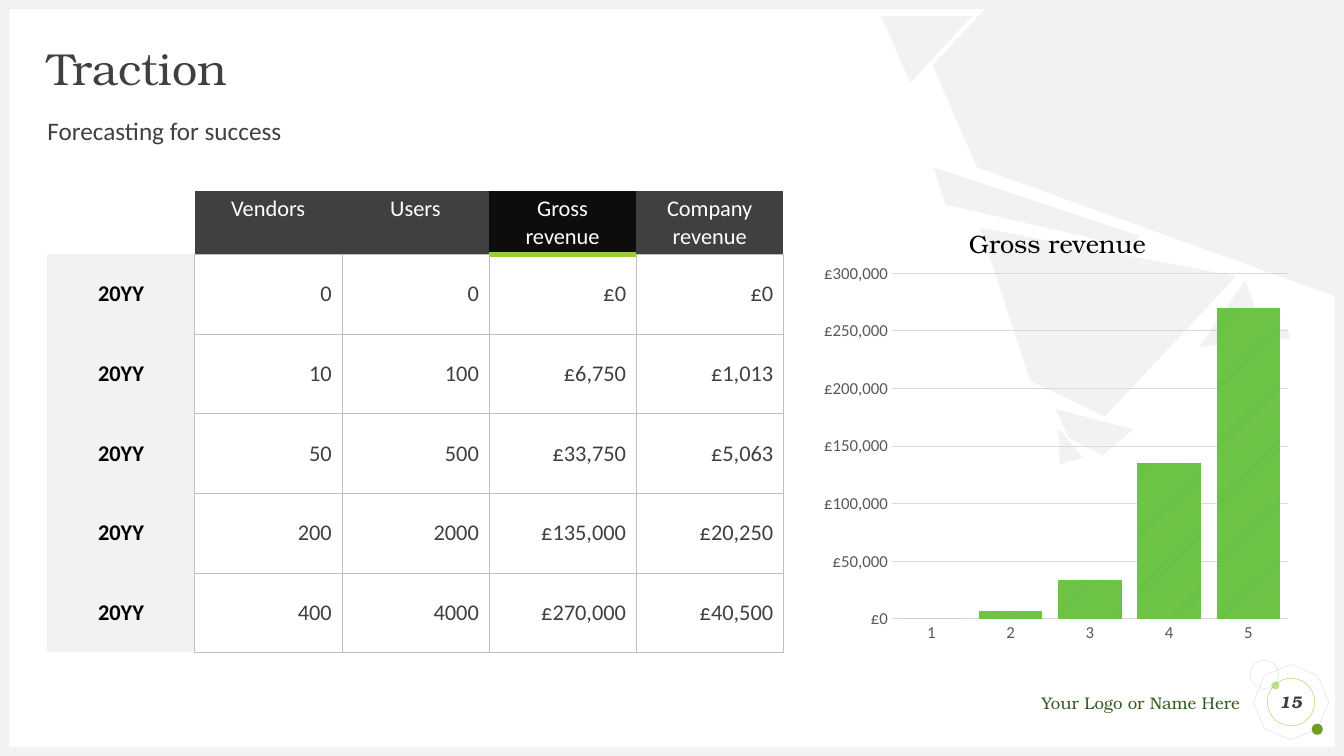
from lxml import etree
from pptx import Presentation
from pptx import util as u
from pptx.chart import data as chart_data
from pptx.dml.color import RGBColor
from pptx.enum import chart as ch
from pptx.enum import dml, shapes, text
from pptx.oxml import ns, parse_xml

PX = 9144  # EMU in one px, 100 px to the inch
COLORS = {
    "white": "FFFFFF", "black": "000000", "ink": "404040", "dark": "0D0D0D",
    "pale": "F2F2F2", "rule": "D9D9D9", "border": "BFBFBF", "axis": "595959",
    "lime": "9ACB39", "light_lime": "C2E088", "olive": "749A29",
    "forest": "375C1E", "green": "64C24A",
}
SERIF, SANS = "TeX Gyre Bonum", "Calibri"
LEFT, CENTER, RIGHT = text.PP_ALIGN.LEFT, text.PP_ALIGN.CENTER, text.PP_ALIGN.RIGHT
TOP, MIDDLE = text.MSO_ANCHOR.TOP, text.MSO_ANCHOR.MIDDLE
KIND = shapes.MSO_SHAPE


def rgb(name):
    return RGBColor.from_string(COLORS[name])


class Deck:
    def __init__(self, width, height):
        self.prs = Presentation()
        self.prs.slide_width, self.prs.slide_height = u.Emu(width * PX), u.Emu(height * PX)
        self.slide = self.prs.slides.add_slide(self.prs.slide_layouts[6])

    def box(self, *lengths):
        return [u.Emu(n * PX) for n in lengths]

    def font(self, font, size, color, face=SANS, bold=False, italic=False):
        font.size, font.name, font.bold, font.italic = u.Pt(size), face, bold, italic
        font.color.rgb = rgb(color)

    def paint(self, shape, fill, line):
        shape.shadow.inherit = False
        if fill:
            shape.fill.solid()
            shape.fill.fore_color.rgb = rgb(fill)
        else:
            shape.fill.background()
        if line:
            shape.line.color.rgb, shape.line.width = rgb(line), u.Pt(0.25)
        else:
            shape.line.fill.background()
        return shape

    def shape(self, kind, place, fill=None, line=None, rotation=0):
        shape = self.slide.shapes.add_shape(kind, *self.box(*place))
        shape.rotation = rotation
        return self.paint(shape, fill, line)

    def polygon(self, points, fill):
        builder = self.slide.shapes.build_freeform(*points[0], scale=PX)
        builder.add_line_segments(points[1:], close=True)
        return self.paint(builder.convert_to_shape(), fill, None)

    def set_text(self, frame, words, align=LEFT, anchor=TOP, spacing=None, **style):
        frame.word_wrap, frame.vertical_anchor = True, anchor
        frame.margin_left = frame.margin_top = frame.margin_right = frame.margin_bottom = 0
        line = frame.paragraphs[0]
        line.text, line.alignment, line.line_spacing = words, align, spacing
        self.font(line.font, **style)

    def label(self, place, words, **style):
        holder = self.slide.shapes.add_textbox(*self.box(*place))
        self.set_text(holder.text_frame, words, **style)

    def cell(self, cell, words, fill, edges, align, anchor, color, bold=False):
        props = cell._tc.get_or_add_tcPr()
        for side in "LRTB":
            color_name, points = edges.get(side, (None, 0))
            edge = etree.SubElement(props, ns.qn(f"a:ln{side}"), w=str(u.Pt(points)))
            if color_name:
                solid = etree.SubElement(edge, ns.qn("a:solidFill"))
                etree.SubElement(solid, ns.qn("a:srgbClr"), val=COLORS[color_name])
            else:
                etree.SubElement(edge, ns.qn("a:noFill"))
        cell.fill.solid()
        cell.fill.fore_color.rgb = rgb(fill)
        cell.vertical_anchor = anchor
        line = cell.text_frame.paragraphs[0]
        line.text, line.alignment = words, align
        self.font(line.font, 16, color, bold=bold)

    def table(self, left, top, column, heights, rows, accent):
        count = len(rows[0])
        place = self.box(left, top, column * count, sum(heights))
        table = self.slide.shapes.add_table(len(rows), count, *place).table
        table.first_row = table.horz_banding = False
        for col in table.columns:
            col.width = u.Emu(column * PX)
        thin, thick = ("border", 0.25), ("lime", 4.5)
        for r, row in enumerate(rows):
            table.rows[r].height = u.Emu(heights[r] * PX)
            for c, words in enumerate(row):
                under_header = thick if c == accent else thin
                if r == 0:
                    fill = "white" if c == 0 else "dark" if c == accent else "ink"
                    edges = {"B": under_header} if c else {}
                    look = (fill, edges, CENTER, TOP, "white")
                elif c == 0:
                    look = ("pale", {"R": thin}, CENTER, MIDDLE, "black", True)
                else:
                    edges = dict.fromkeys("LRTB", thin)
                    if r == 1:
                        edges["T"] = under_header
                    look = ("white", edges, RIGHT, MIDDLE, "ink")
                self.cell(table.cell(r, c), words, *look)

    def layout(self, inner=False, **fractions):
        parts = '<c:layoutTarget val="inner"/>' if inner else ""
        parts += '<c:xMode val="edge"/><c:yMode val="edge"/>'
        parts += "".join(f'<c:{k} val="{v}"/>' for k, v in fractions.items())
        return parse_xml(f"<c:layout {ns.nsdecls('c')}><c:manualLayout>{parts}"
                         "</c:manualLayout></c:layout>")

    def columns(self, place, title, categories, values):
        data = chart_data.CategoryChartData()
        data.categories = categories
        data.add_series("Series 1", values)
        chart = self.slide.shapes.add_chart(
            ch.XL_CHART_TYPE.COLUMN_CLUSTERED, *self.box(*place), data).chart
        self.font(chart.font, 10, "black")
        chart.has_legend, chart.has_title = False, True
        heading = chart.chart_title.text_frame.paragraphs[0]
        heading.text = title
        self.font(heading.font, 18, "black", SERIF)

        # Bars
        plot = chart.plots[0]
        plot.gap_width, plot.vary_by_categories = 25, False
        fill = plot.series[0].format.fill
        fill.patterned()
        fill.pattern = dml.MSO_PATTERN.DARK_UPWARD_DIAGONAL
        fill.fore_color.rgb, fill.back_color.rgb = rgb("lime"), rgb("green")

        # Axes
        years, pounds = chart.category_axis, chart.value_axis
        for axis in (years, pounds):
            axis.major_tick_mark = axis.minor_tick_mark = ch.XL_TICK_MARK.NONE
            self.font(axis.tick_labels.font, 12, "axis")
        pounds.minimum_scale, pounds.maximum_scale, pounds.major_unit = 0, 300000, 50000
        pounds.tick_labels.number_format = '"£"#,##0'
        pounds.tick_labels.number_format_is_linked = False
        pounds.format.line.fill.background()
        for line in (years.format.line, pounds.major_gridlines.format.line):
            line.color.rgb, line.width = rgb("rule"), u.Pt(0.75)

        # Fixed places of the title and the plot
        title_part = chart.chart_title._element
        area = chart._chartSpace.find(".//" + ns.qn("c:plotArea"))
        for part in (title_part, area):
            for old in part.findall(ns.qn("c:layout")):
                part.remove(old)
        title_part.find(ns.qn("c:tx")).addnext(self.layout(x=0.31, y=0.06))
        area.insert(0, self.layout(True, x=0.16, y=0.18, w=0.82, h=0.75))


SHARDS = [
    [(874, 16), (964, 16), (903, 82)],
    [(985, 0), (1333, 0), (1333, 297), (969, 166), (925, 65)],
    [(972, 226), (1226, 274), (1096, 413), (1022, 378)],
    [(1050, 425), (1074, 454), (1051, 461)],
    [(1047, 406), (1124, 426), (1093, 452), (1060, 434)],
    [(926, 166), (1130, 234), (1121, 245), (938, 203)],
    [(1276, 325), (1280, 336), (1232, 340)],
    [(1235, 278), (1253, 327), (1210, 342), (1190, 344)],
]
FORECAST = [
    ["", "Vendors", "Users", "Gross revenue", "Company revenue"],
    ["20YY", "0", "0", "£0", "£0"],
    ["20YY", "10", "100", "£6,750", "£1,013"],
    ["20YY", "50", "500", "£33,750", "£5,063"],
    ["20YY", "200", "2000", "£135,000", "£20,250"],
    ["20YY", "400", "4000", "£270,000", "£40,500"],
]


def main():
    deck = Deck(1333, 750)

    # Footer ornament and name
    deck.shape(KIND.OCTAGON, (1246, 662, 69, 69), line="rule", rotation=22.7)
    deck.shape(KIND.OVAL, (1261, 676, 8, 8), "light_lime")
    deck.shape(KIND.OVAL, (1301, 718, 11, 11), "olive")
    deck.label((955, 687, 275, 20), "Your Logo or Name Here", align=RIGHT,
               size=12, color="forest", face=SERIF)
    deck.shape(KIND.OVAL, (1240, 655, 28, 28), line="rule")

    # Frame around the slide
    for side in [(0, 741, 1333, 9), (0, 0, 1333, 9), (0, 0, 9, 750), (1324, 0, 9, 750)]:
        deck.shape(KIND.RECTANGLE, side, "pale")

    # Background shards
    for shard in SHARDS:
        deck.polygon(shard, "pale")

    # Headings
    deck.label((47, 47, 1240, 47), "Traction", anchor=MIDDLE, spacing=0.9,
               size=32, color="ink", face=SERIF)
    deck.label((47, 118, 1240, 30), "Forecasting for success", spacing=0.9,
               size=18, color="ink")

    # Forecast table and chart
    deck.table(47, 189, 146, [63] + [79] * 5, FORECAST, accent=3)
    deck.columns((808, 189, 479, 457), "Gross revenue", ["1", "2", "3", "4", "5"],
                 [0, 7000, 34000, 135000, 270000])

    # Slide number
    number = deck.shape(KIND.OVAL, (1257, 673, 47, 47), line="lime")
    deck.set_text(number.text_frame, "15", align=CENTER, anchor=MIDDLE,
                  size=12, color="ink", face=SERIF, bold=True, italic=True)

    deck.prs.save("out.pptx")


if __name__ == "__main__":
    main()
